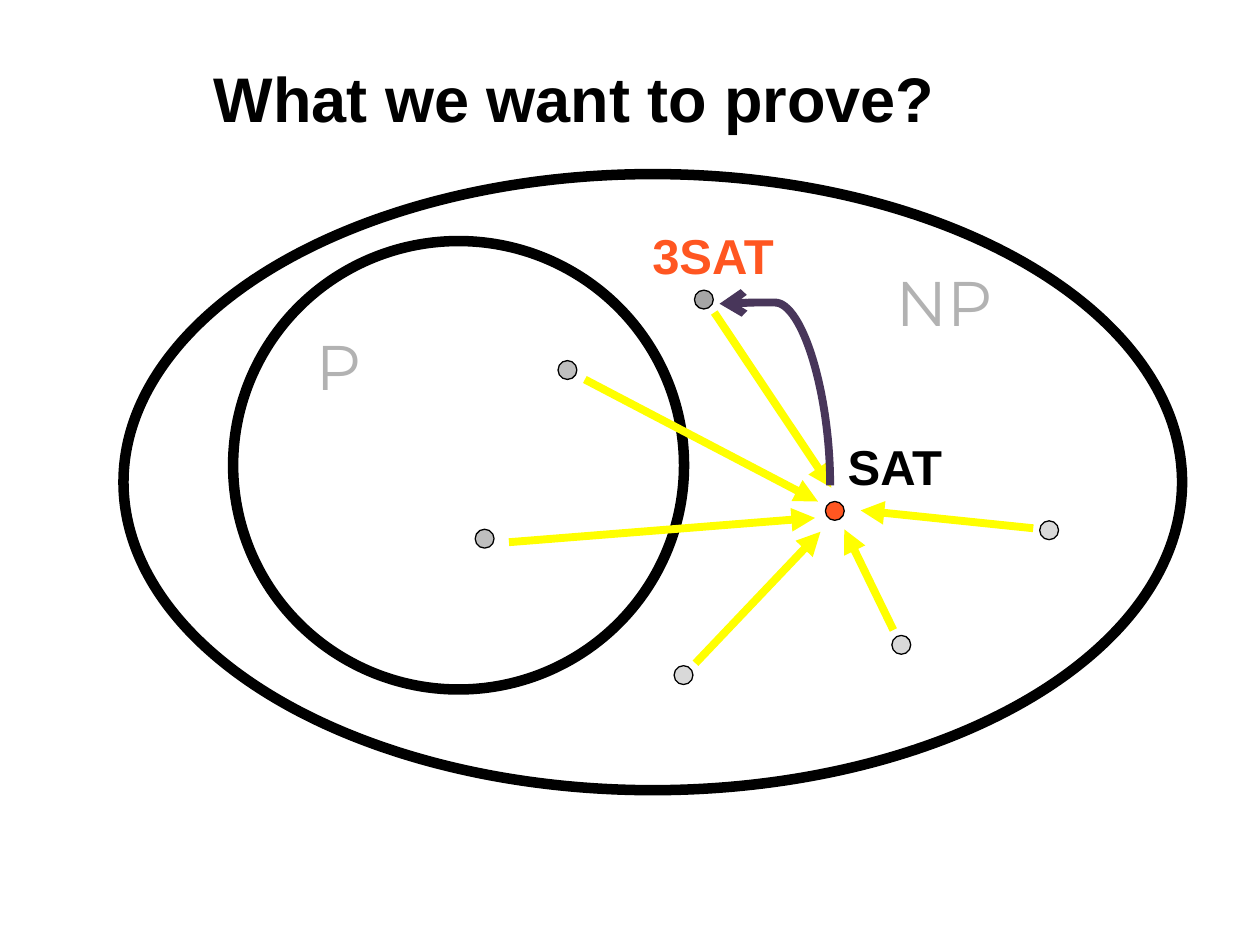
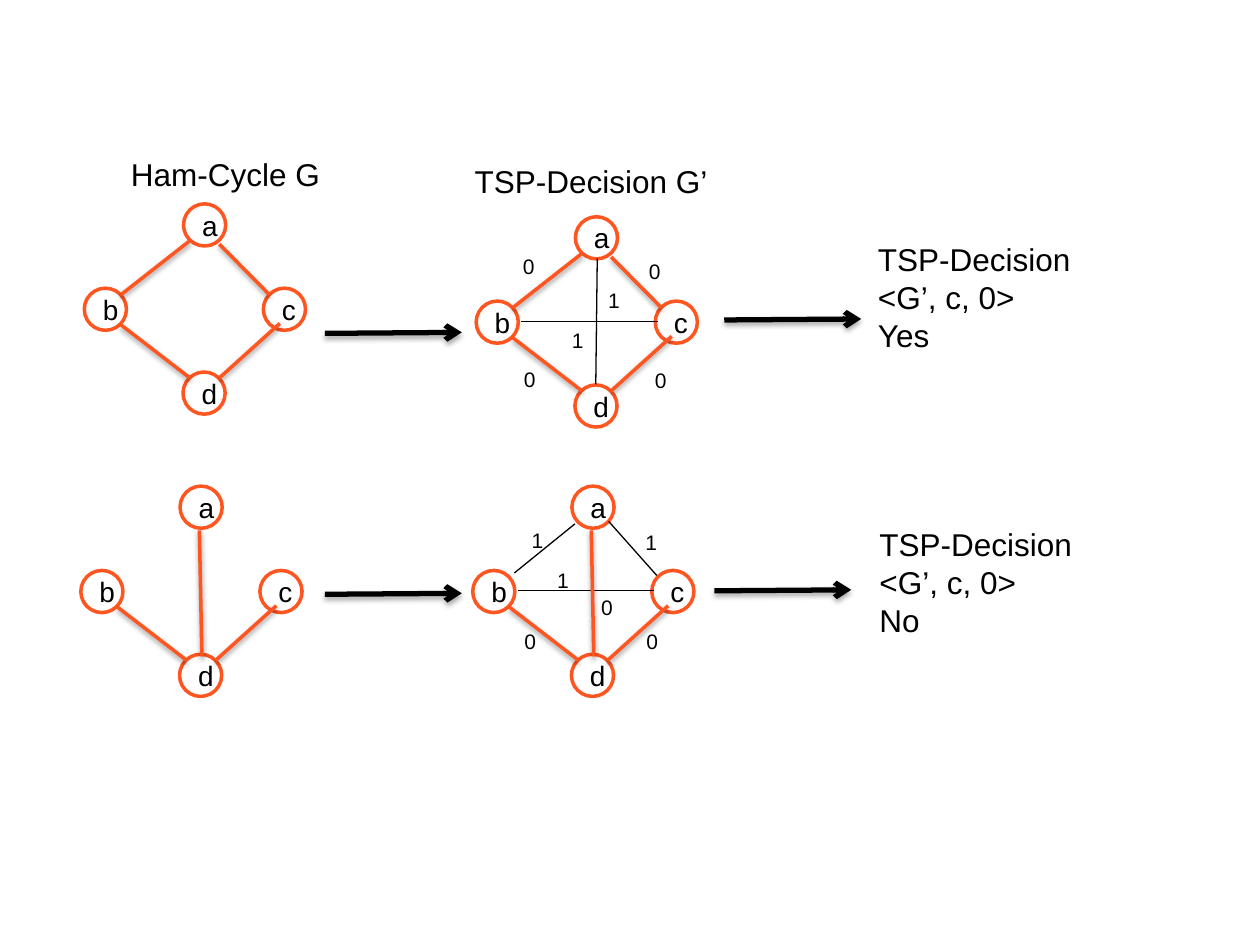
"""Build two slides on NP-completeness reductions."""
import pptx
import pptx.util
import pptx.dml.color
import pptx.enum.shapes
import pptx.enum.text
import pptx.oxml
import pptx.oxml.ns
from pptx.util import Cm

COLORS = {
    "black": "000000", "white": "FFFFFF", "orange": "FF5621",
    "yellow": "FFFF00", "purple": "48365A", "label": "B2B2B2",
    "dark": "A6A6A6", "mid": "BFBFBF", "light": "D9D9D9",
}
BODY_FONT, SET_FONT = "Arial", "Montserrat"
EDGE_SHADOW, ARROW_SHADOW = (38, 1.6), (35, 1.8)
CONNECTOR = pptx.enum.shapes.MSO_CONNECTOR

NODE_SIZE = 0.85
NODES = {"a": (2, 0), "c": (3.61, 1.7), "d": (1.99, 3.39), "b": (0, 1.7)}
EDGES = {
    ("ab", 0): (0.74, 1.83, 2.13, 0.74),
    ("ac", 0): (2.72, 0.81, 3.73, 1.83),
    ("bd", 0): (0.74, 2.44, 2.13, 3.51),
    ("cd", 0): (2.72, 3.51, 3.94, 2.41),
    ("ad", 0): (2.39, 0.89, 2.44, 3.43),
    ("ab", 1): (0.84, 1.75, 2.06, 0.76),
    ("ac", 1): (2.74, 0.71, 3.71, 1.8),
    ("ad", 1): (2.44, 0.84, 2.41, 3.38),
    ("bc", 1): (0.91, 2.11, 3.66, 2.11),
}


def rgb(name):
    """Return the named colour."""
    return pptx.dml.color.RGBColor.from_string(COLORS[name])


def add_run(p, text, size, color="black", font=BODY_FONT, bold=False):
    """Add one formatted run to a paragraph."""
    r = p.add_run()
    r.text = text
    r.font.size = pptx.util.Pt(size)
    r.font.name = font
    r.font.bold = bold
    r.font.color.rgb = rgb(color)


def add_text(shapes, left, top, width, height, lines, size, **style):
    """Add an unwrapped text box with one paragraph per line."""
    tf = shapes.add_textbox(Cm(left), Cm(top), Cm(width), Cm(height)).text_frame
    tf.word_wrap = False
    tf.auto_size = pptx.enum.text.MSO_AUTO_SIZE.SHAPE_TO_FIT_TEXT
    for i, line in enumerate(lines):
        p = tf.add_paragraph() if i else tf.paragraphs[0]
        add_run(p, line, size, **style)


def add_oval(shapes, left, top, width, height, fill, line, weight):
    """Add an ellipse, hollow when fill is None."""
    sp = shapes.add_shape(pptx.enum.shapes.MSO_SHAPE.OVAL,
                          Cm(left), Cm(top), Cm(width), Cm(height))
    sp.shadow.inherit = False
    if fill:
        sp.fill.solid()
        sp.fill.fore_color.rgb = rgb(fill)
    else:
        sp.fill.background()
    sp.line.color.rgb = rgb(line)
    sp.line.width = pptx.util.Pt(weight)
    return sp


def add_line(shapes, ends, color, weight, head=None, shadow=None,
             kind=CONNECTOR.STRAIGHT):
    """Add a connector with an optional arrowhead and drop shadow."""
    cxn = shapes.add_connector(kind, *(Cm(v) for v in ends))
    cxn.line.color.rgb = rgb(color)
    cxn.line.width = pptx.util.Pt(weight)
    if head:
        tail = pptx.oxml.parse_xml(
            f'<a:tailEnd {pptx.oxml.ns.nsdecls("a")} type="{head}"/>')
        cxn.line._get_or_add_ln().append(tail)
    inner = ""
    if shadow:
        alpha, dist = shadow
        inner = (f'<a:outerShdw blurRad="{pptx.util.Pt(3.1)}" '
                 f'dist="{pptx.util.Pt(dist)}" dir="5400000" rotWithShape="0">'
                 f'<a:srgbClr val="{COLORS["black"]}">'
                 f'<a:alpha val="{alpha * 1000}"/></a:srgbClr></a:outerShdw>')
    cxn._element.spPr.append(pptx.oxml.parse_xml(
        f'<a:effectLst {pptx.oxml.ns.nsdecls("a")}>{inner}</a:effectLst>'))
    return cxn


def set_title(s, text, left, top, width, height):
    """Place and fill the title placeholder."""
    sp = s.shapes.title
    sp.left, sp.top, sp.width, sp.height = Cm(left), Cm(top), Cm(width), Cm(height)
    tf = sp.text_frame
    tf.vertical_anchor = pptx.enum.text.MSO_ANCHOR.TOP
    p = tf.paragraphs[0]
    p.alignment = pptx.enum.text.PP_ALIGN.CENTER
    add_run(p, text, 36, bold=True)


def add_class_diagram(s, left, top, width, height):
    """Draw P inside NP, with every problem reducing to SAT."""
    shapes = s.shapes
    add_oval(shapes, left, top, width, height, None, "black", 6)
    add_oval(shapes, left + 2.21, top + 1.35, 9.09, 9.04, None, "black", 6)

    gray = {"color": "label", "font": SET_FONT}
    labels = [
        ("P", 3.63, 2.97, 1.42, 1.78, 36, gray),
        ("NP", 15.32, 1.68, 2.49, 1.78, 36, gray),
        ("SAT", 14.35, 5.16, 2.44, 1.45, 28, {"bold": True}),
        ("3SAT", 10.41, 0.91, 3, 1.45, 28, {"bold": True, "color": "orange"}),
    ]
    for text, x, y, w, h, size, style in labels:
        add_text(shapes, left + x, top + y, w, h, [text], size, **style)

    problems = [
        ("mid", 8.76, 3.76, (9.3, 4.14, 14, 6.6)),
        ("mid", 7.09, 7.16, (7.77, 7.42, 13.94, 6.93)),
        ("light", 11.1, 9.91, (11.53, 9.86, 14.05, 7.21)),
        ("light", 15.49, 9.3, (15.52, 9.19, 14.53, 7.16)),
        ("light", 18.47, 6.99, (18.34, 7.14, 14.86, 6.78)),
        ("dark", 11.51, 2.34, (11.91, 2.79, 14.27, 6.32)),
        ("orange", 14.15, 6.6, None),
    ]
    for fill, x, y, arrow in problems:
        add_oval(shapes, left + x, top + y, 0.38, 0.38, fill, "black", 0.75)
        if arrow:
            x1, y1, x2, y2 = arrow
            add_line(shapes, (left + x1, top + y1, left + x2, top + y2),
                     "yellow", 4.5, "triangle")

    curve = add_line(shapes, (left + 11.3, top + 5.56, left + 14.96, top + 3.33),
                     "purple", 4.5, "arrow", kind=CONNECTOR.CURVE)
    spPr = curve._element.spPr
    spPr.find(pptx.oxml.ns.qn("a:xfrm")).set("rot", str(270 * 60000))
    geom = spPr.find(pptx.oxml.ns.qn("a:prstGeom"))
    geom.get_or_add_avLst().append(pptx.oxml.parse_xml(
        f'<a:gd {pptx.oxml.ns.nsdecls("a")} name="adj1" fmla="val 100700"/>'))


def add_graph(s, left, top, edges):
    """Draw a four-node graph; edges map to a weight and a label place."""
    shapes = s.shapes.add_group_shape().shapes
    for name, (x, y) in NODES.items():
        sp = add_oval(shapes, left + x, top + y, NODE_SIZE, NODE_SIZE,
                      "white", "orange", 2)
        tf = sp.text_frame
        tf.word_wrap = False
        tf.vertical_anchor = pptx.enum.text.MSO_ANCHOR.MIDDLE
        tf.paragraphs[0].alignment = pptx.enum.text.PP_ALIGN.LEFT
        add_run(tf.paragraphs[0], name, 16)
    for name, (weight, place) in edges.items():
        x1, y1, x2, y2 = EDGES[name, weight]
        ends = (left + x1, top + y1, left + x2, top + y2)
        if weight:
            add_line(shapes, ends, "black", 0.75)
        else:
            add_line(shapes, ends, "orange", 2, shadow=EDGE_SHADOW)
        if place:
            add_text(shapes, left + place[0], top + place[1], 0.74, 0.76,
                     [str(weight)], 12)


def add_step_arrow(s, left, top, width):
    """Draw an almost level arrow to the next step."""
    add_line(s.shapes, (left, top, left + width, top - 0.02), "black", 3,
             "arrow", ARROW_SHADOW)


def add_verdict(s, left, top, answer):
    """Write the decision reached for a graph."""
    add_text(s.shapes, left, top, 5.08, 2.82,
             ["TSP-Decision", "<G’, c, 0>", answer], 18)


def build_proof_slide(prs):
    """Build the slide on what has to be proved."""
    s = prs.slides.add_slide(prs.slide_layouts[5])
    add_class_diagram(s, 2.49, 3.51, 21.34, 12.42)
    set_title(s, "What we want to prove?", 3.78, 1.07, 15.6, 1.8)


def build_reduction_slide(prs):
    """Build the slide reducing Ham-Cycle to TSP-Decision."""
    s = prs.slides.add_slide(prs.slide_layouts[6])
    add_text(s.shapes, 2.39, 3, 4.78, 1.12, ["Ham-Cycle G"], 18)
    add_text(s.shapes, 9.32, 3.15, 5.79, 1.12, ["TSP-Decision G’"], 18)

    add_graph(s, 1.7, 4.11, {e: (0, None) for e in ("ab", "ac", "bd", "cd")})
    add_graph(s, 9.6, 4.37, {
        "ab": (0, (0.69, 0.61)), "ac": (0, (3.23, 0.71)),
        "bd": (0, (0.71, 2.9)), "cd": (0, (3.35, 2.92)),
        "bc": (1, (1.68, 2.11)), "ad": (1, (2.41, 1.3)),
    })
    add_graph(s, 1.63, 9.8, {e: (0, None) for e in ("bd", "cd", "ad")})
    add_graph(s, 9.53, 9.8, {
        "bd": (0, (0.79, 2.74)), "cd": (0, (3.25, 2.74)),
        "bc": (1, (1.45, 1.52)), "ac": (1, (3.23, 0.76)),
        "ab": (1, (0.94, 0.71)), "ad": (0, (2.34, 2.06)),
    })

    for left, top in ((6.55, 6.72), (14.6, 6.45), (6.55, 11.98), (14.4, 11.91)):
        add_step_arrow(s, left, top, 2.76)
    add_verdict(s, 17.45, 4.72, "Yes")
    add_verdict(s, 17.48, 10.46, "No")


def main():
    """Build and save the presentation."""
    prs = pptx.Presentation()
    prs.slide_width, prs.slide_height = Cm(25.4), Cm(19.05)
    build_proof_slide(prs)
    build_reduction_slide(prs)
    prs.save("out.pptx")


if __name__ == "__main__":
    main()
